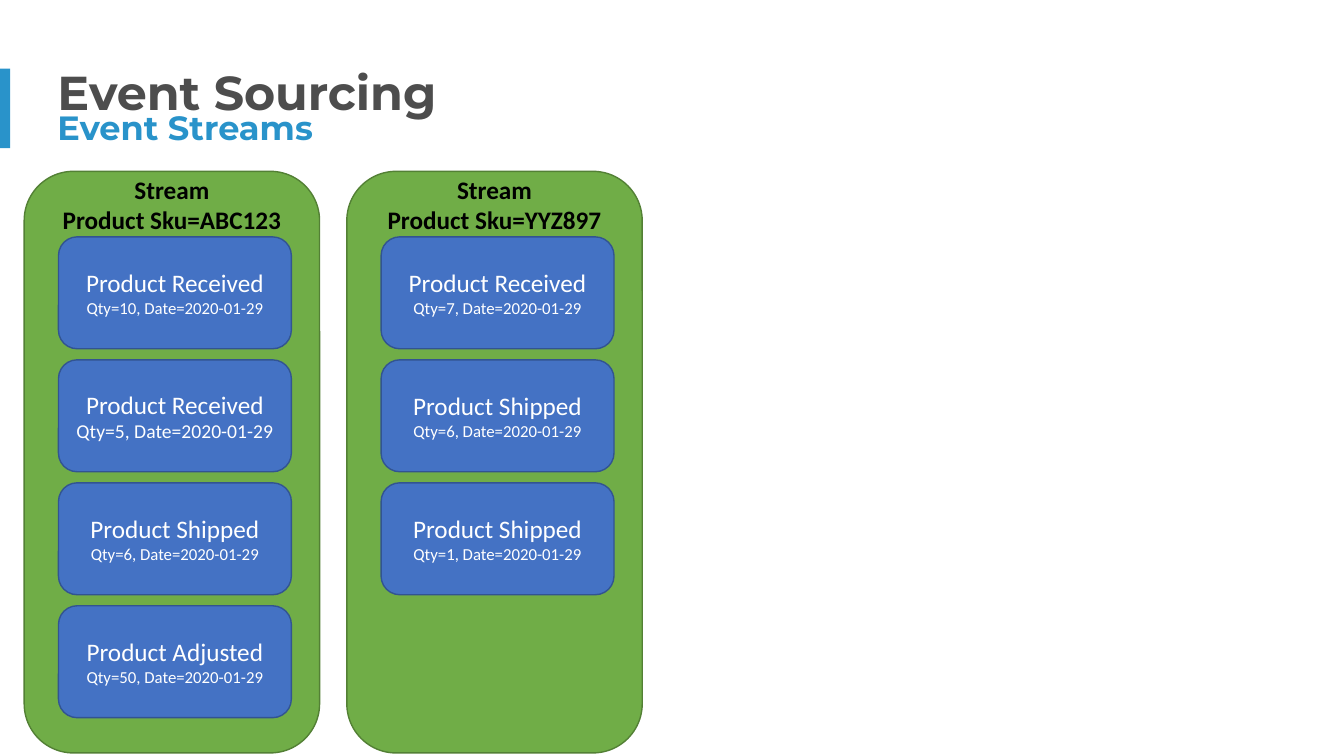
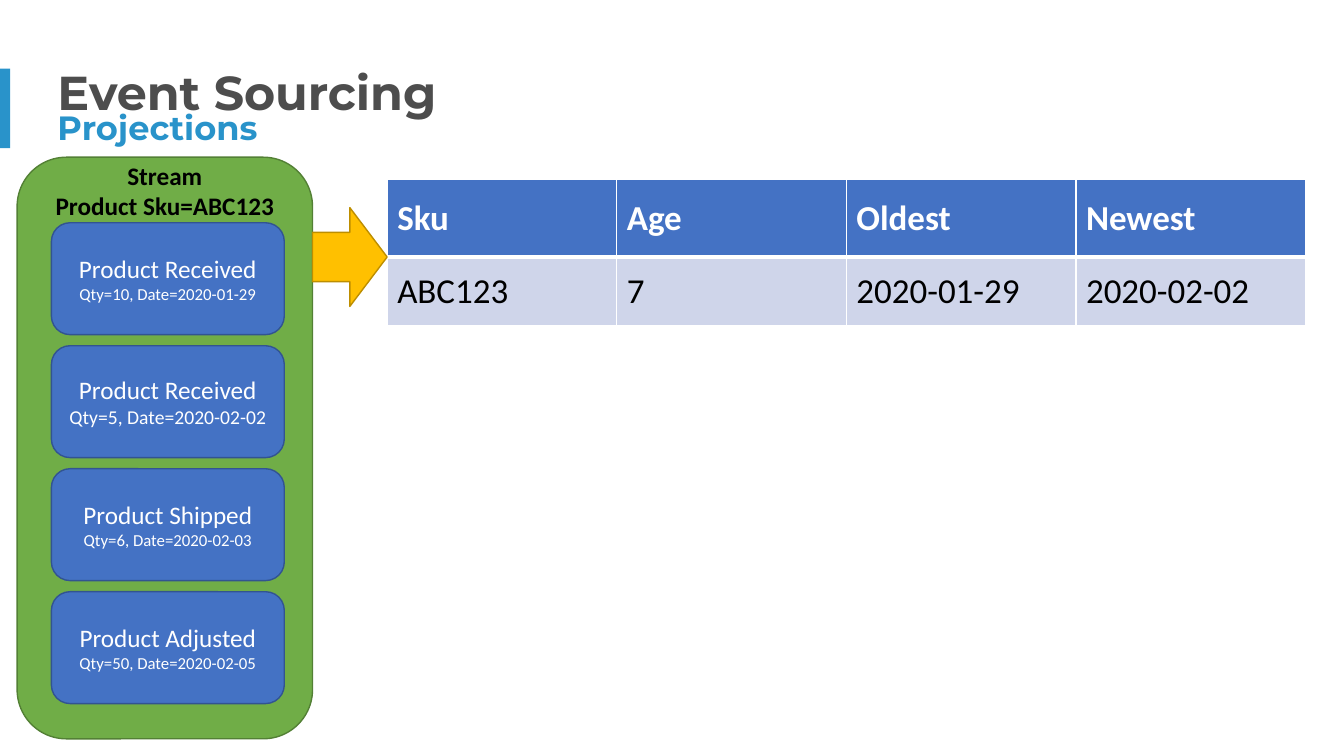
from dataclasses import dataclass

from lxml.etree import SubElement
from pptx import Presentation
from pptx.dml.color import RGBColor
from pptx.enum.shapes import MSO_SHAPE
from pptx.enum.text import MSO_ANCHOR, MSO_AUTO_SIZE, PP_ALIGN
from pptx.oxml.ns import qn
from pptx.util import Inches, Pt

# Shared look
COLORS = {
    "title": "4D4D4D", "accent": "2993CA", "white": "FFFFFF", "black": "000000",
    "stream": "70AD47", "stream_line": "538035",
    "event": "4472C4", "event_line": "325491",
    "arrow": "FFC000", "arrow_line": "BD8E00", "row": "CFD5EA",
}
TITLE_FONT = {"name": "Montserrat", "size": Pt(34), "bold": True}
SUBTITLE_FONT = {"name": "Montserrat", "size": Pt(24), "bold": True}
STREAM_FONT = {"name": "Calibri", "size": Pt(18), "bold": True}
EVENT_FONT = {"name": "Calibri", "size": Pt(18), "bold": False}
HEADER_FONT = {"name": "Calibri", "size": Pt(25), "bold": True}
ROW_FONT = {"name": "Calibri", "size": Pt(25), "bold": False}
HEADING_FRAME = {
    "margin_left": 0, "margin_top": 0, "margin_right": 0, "margin_bottom": 0,
    "vertical_anchor": MSO_ANCHOR.TOP, "auto_size": MSO_AUTO_SIZE.NONE,
    "word_wrap": False,
}

# Stream geometry in inches
STREAM_WIDTH, STREAM_HEIGHT = 2.93, 5.77
EVENT_WIDTH, EVENT_HEIGHT = 2.31, 1.11
EVENT_INSET, EVENT_TOP, EVENT_PITCH = 0.34, 0.65, 1.22


@dataclass
class Event:
    name: str
    detail: str
    detail_size: int = 12


@dataclass
class Stream:
    left: float
    top: float
    sku: str
    events: list[Event]


def color(name: str) -> RGBColor:
    return RGBColor.from_string(COLORS[name])


def apply(target, values: dict) -> None:
    for name, value in values.items():
        setattr(target, name, value)


def box(left: float, top: float, width: float, height: float) -> tuple:
    return Inches(left), Inches(top), Inches(width), Inches(height)


def write(paragraph, text: str, font: dict, color_name: str,
          alignment=PP_ALIGN.LEFT) -> None:
    paragraph.alignment = alignment
    run = paragraph.add_run()
    run.text = text
    apply(run.font, font)
    run.font.color.rgb = color(color_name)


def add_shape(slide, kind, bounds: tuple, fill: str, line: str | None = None):
    shape = slide.shapes.add_shape(kind, *box(*bounds))
    shape.shadow.inherit = False
    shape.fill.solid()
    shape.fill.fore_color.rgb = color(fill)
    if line:
        shape.line.color.rgb = color(line)
        shape.line.width = Pt(1)
    else:
        shape.line.fill.background()
    return shape


def add_heading(placeholder, text: str, bounds: tuple, font: dict,
                color_name: str) -> None:
    left, top, width, height = box(*bounds)
    apply(placeholder, {"left": left, "top": top, "width": width, "height": height})
    apply(placeholder.text_frame, HEADING_FRAME)
    paragraph = placeholder.text_frame.paragraphs[0]
    paragraph.space_before = Pt(0)
    write(paragraph, text, font, color_name)


def add_slide(presentation, subtitle: str):
    slide = presentation.slides.add_slide(presentation.slide_layouts[0])
    add_heading(slide.shapes.title, "Event Sourcing", (0.57, 0.62, 3.82, 0.57),
                TITLE_FONT, "title")
    add_heading(slide.placeholders[1], subtitle, (0.57, 1.06, 2.57, 0.4),
                SUBTITLE_FONT, "accent")
    add_shape(slide, MSO_SHAPE.RECTANGLE, (0, 0.68, 0.1, 0.79), "accent")
    return slide


def add_event(slide, event: Event, left: float, top: float) -> None:
    shape = add_shape(slide, MSO_SHAPE.ROUNDED_RECTANGLE,
                      (left, top, EVENT_WIDTH, EVENT_HEIGHT), "event", "event_line")
    frame = shape.text_frame
    frame.word_wrap = True
    frame.vertical_anchor = MSO_ANCHOR.MIDDLE
    write(frame.paragraphs[0], event.name, EVENT_FONT, "white", PP_ALIGN.CENTER)
    detail_font = EVENT_FONT | {"size": Pt(event.detail_size)}
    write(frame.add_paragraph(), event.detail, detail_font, "white", PP_ALIGN.CENTER)


def add_stream(slide, stream: Stream) -> None:
    add_shape(slide, MSO_SHAPE.ROUNDED_RECTANGLE,
              (stream.left, stream.top, STREAM_WIDTH, STREAM_HEIGHT),
              "stream", "stream_line")
    for index, event in enumerate(stream.events):
        add_event(slide, event, stream.left + EVENT_INSET,
                  stream.top + EVENT_TOP + index * EVENT_PITCH)
    label = slide.shapes.add_textbox(
        *box(stream.left, stream.top - 0.02, STREAM_WIDTH, 0.71))
    frame = label.text_frame
    frame.word_wrap = True
    write(frame.paragraphs[0], "Stream", STREAM_FONT, "black", PP_ALIGN.CENTER)
    write(frame.add_paragraph(), f"Product Sku={stream.sku}", STREAM_FONT, "black",
          PP_ALIGN.CENTER)


def add_borders(cell, widths: dict[str, int]) -> None:
    properties = cell._tc.get_or_add_tcPr()
    for edge, width in widths.items():
        line = SubElement(properties, qn(f"a:{edge}"), w=str(Pt(width)))
        fill = SubElement(line, qn("a:solidFill"))
        SubElement(fill, qn("a:srgbClr"), val=COLORS["white"])


def add_projection(slide, rows: list[list[str]]) -> None:
    table = slide.shapes.add_table(len(rows), len(rows[0]),
                                   *box(3.84, 1.78, 9.11, 1.45)).table
    for row, height in zip(table.rows, (0.77, 0.68)):
        row.height = Inches(height)
    styles = [
        (HEADER_FONT, "white", "event", {"lnL": 1, "lnR": 1, "lnT": 1, "lnB": 3}),
        (ROW_FONT, "black", "row", {"lnL": 1, "lnR": 1, "lnT": 3, "lnB": 1}),
    ]
    for row_index, (texts, style) in enumerate(zip(rows, styles)):
        font, text_color, fill, borders = style
        for column_index, text in enumerate(texts):
            cell = table.cell(row_index, column_index)
            add_borders(cell, borders)
            cell.fill.solid()
            cell.fill.fore_color.rgb = color(fill)
            cell.vertical_anchor = MSO_ANCHOR.MIDDLE
            write(cell.text_frame.paragraphs[0], text, font, text_color)


presentation = Presentation()
presentation.slide_width = Inches(13.33)
presentation.slide_height = Inches(7.5)

# Slide 1: event streams
streams_slide = add_slide(presentation, "Event Streams")
add_stream(streams_slide, Stream(3.44, 1.7, "YYZ897", [
    Event("Product Received", "Qty=7, Date=2020-01-29"),
    Event("Product Shipped", "Qty=6, Date=2020-01-29"),
    Event("Product Shipped", "Qty=1, Date=2020-01-29"),
]))
add_stream(streams_slide, Stream(0.24, 1.7, "ABC123", [
    Event("Product Received", "Qty=10, Date=2020-01-29"),
    Event("Product Received", "Qty=5, Date=2020-01-29", 14),
    Event("Product Shipped", "Qty=6, Date=2020-01-29"),
    Event("Product Adjusted", "Qty=50, Date=2020-01-29"),
]))

# Slide 2: projection of one stream into a table
projections_slide = add_slide(presentation, "Projections")
add_stream(projections_slide, Stream(0.17, 1.56, "ABC123", [
    Event("Product Received", "Qty=10, Date=2020-01-29"),
    Event("Product Received", "Qty=5, Date=2020-02-02", 14),
    Event("Product Shipped", "Qty=6, Date=2020-02-03"),
    Event("Product Adjusted", "Qty=50, Date=2020-02-05"),
]))
add_projection(projections_slide, [
    ["Sku", "Age", "Oldest", "Newest"],
    ["ABC123", "7", "2020-01-29", "2020-02-02"],
])
add_shape(projections_slide, MSO_SHAPE.RIGHT_ARROW, (3.1, 2.06, 0.74, 0.98),
          "arrow", "arrow_line")

presentation.save("out.pptx")
